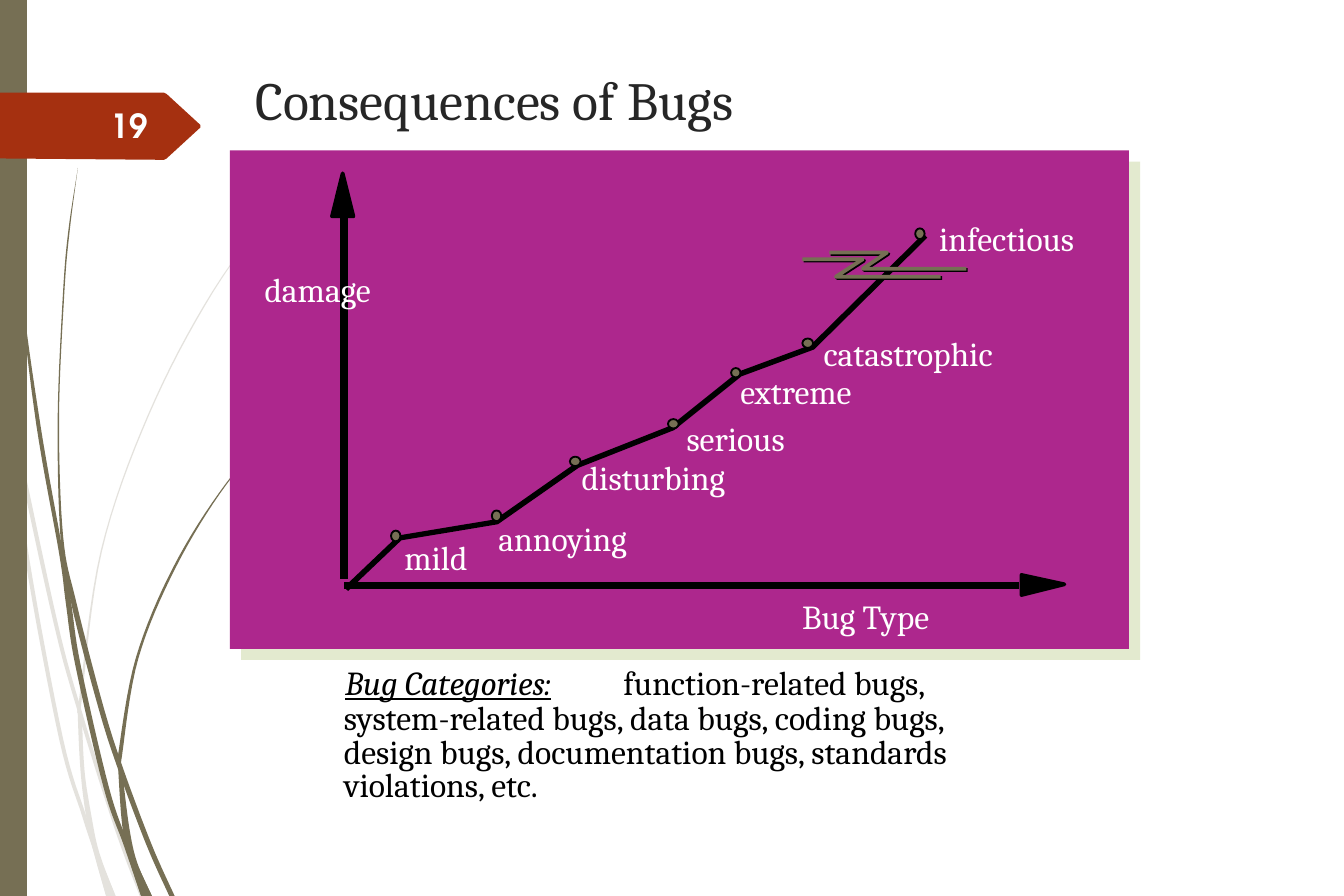
from lxml import etree
from pptx import Presentation
from pptx.dml.color import RGBColor
from pptx.enum.shapes import MSO_CONNECTOR, MSO_SHAPE
from pptx.enum.text import MSO_ANCHOR, PP_ALIGN
from pptx.oxml.ns import qn
from pptx.util import Inches, Pt

COLORS = {"olive": "766F54", "pale": "E4E2DD", "red": "A53010", "purple": "AD278D",
          "shadow": "E3EACF", "black": "000000", "white": "FFFFFF",
          "title": "262626", "number": "FEFFFF"}

# Left edge, height and width along each blade of grass
BLADES = [
    ("pale", [(0, 2.5, 0.01), (0.1, 3.34, 0.02), (0.19, 4.17, 0.03), (0.44, 5.5, 0.03),
              (0.61, 6.07, 0.03), (0.7, 6.35, 0.03), (0.79, 6.67, 0.07)]),
    ("pale", [(0.1, 3.07, 0), (0.12, 3.34, 0.03), (0.4, 4.64, 0.03), (0.58, 5.3, 0.03),
              (0.85, 6.16, 0.03), (1.04, 6.67, 0.04)]),
    ("pale", [(2.17, 1.36, 0), (1.58, 2.17, 0.01), (1.1, 3.09, 0.01), (0.75, 4.1, 0.01),
              (0.59, 5.2, 0.02), (0.58, 5.33, 0.03), (0.6, 5.74, 0.03),
              (0.64, 6.07, 0.04), (0.7, 6.35, 0.04), (0.79, 6.67, 0.07)]),
    ("olive", [(0.02, 0, 0.01), (0.05, 0.98, 0.01), (0.14, 2.07, 0.01), (0.27, 3.16, 0.03),
               (0.44, 4.12, 0.03), (0.49, 4.49, 0.04), (0.56, 4.95, 0.04),
               (0.77, 5.86, 0.04), (0.92, 6.29, 0.04), (1.05, 6.67, 0.08)]),
    ("olive", [(0.58, 1.25, 0), (0.51, 1.71, 0.01), (0.47, 2.17, 0.01), (0.43, 3.1, 0.01),
               (0.45, 3.99, 0.02), (0.53, 4.49, 0.04), (0.73, 5.26, 0.04),
               (0.88, 5.73, 0.04), (1.09, 6.29, 0.04), (1.26, 6.67, 0.04)]),
    ("olive", [(2.15, 3.06, 0.01), (1.68, 3.6, 0.01), (1.29, 4.22, 0.02), (1.01, 4.9, 0.02),
               (0.88, 5.61, 0.03), (0.88, 5.73, 0.03), (0.91, 6.15, 0.05),
               (0.97, 6.42, 0.05), (1.05, 6.67, 0.08)]),
]
NUMBER_TAG = [(0, 0.69), (1.22, 0.69), (1.24, 0.7), (1.49, 0.93), (1.49, 0.95),
              (1.24, 1.18), (1.22, 1.19), (0, 1.18)]
CURVE = [(2.57, 4.38), (2.97, 4), (3.69, 3.88), (4.29, 3.46), (5, 3.18),
         (5.5, 2.78), (6.04, 2.58), (6.88, 1.75)]
AXES = [
    ((2.56, 4.31), (2.56, 1.62), [(2.55, 1.29), (2.63, 1.61), (2.47, 1.61)]),
    ((2.56, 4.36), (7.58, 4.36), [(7.92, 4.35), (7.6, 4.43), (7.6, 4.28)]),
]
LABELS = [
    ("damage", 1.87, 1.95, 1.04), ("mild", 2.91, 3.95, 0.69),
    ("annoying", 3.61, 3.81, 1.2), ("disturbing", 4.23, 3.35, 1.32),
    ("serious", 5.01, 3.06, 0.99), ("extreme", 5.41, 2.71, 1.09),
    ("catastrophic", 6.03, 2.43, 1.53), ("infectious", 6.89, 1.57, 1.26),
    ("Bug Type", 5.87, 4.39, 1.21),
]
DOTS = [(2.91, 3.95, 0.07, 0.08), (3.66, 3.8, 0.07, 0.08), (4.24, 3.4, 0.08, 0.07),
        (4.97, 3.12, 0.08, 0.07), (5.44, 2.74, 0.07, 0.07), (5.97, 2.52, 0.08, 0.07),
        (6.81, 1.7, 0.07, 0.08)]
BOLTS = [[(6.17, 1.88), (6.6, 1.88), (6.42, 2), (7.19, 2)],
         [(5.97, 1.93), (6.42, 1.93), (6.22, 2.06), (7, 2.06)]]
CATEGORIES = [
    ("function-related bugs,", 4.54, 4.88, 2.45),
    ("system-related bugs, data bugs, coding bugs,", 2.46, 5.14, 5.02),
    ("design bugs, documentation bugs, standards", 2.46, 5.39, 5.02),
    ("violations, etc.", 2.46, 5.64, 1.74),
]

deck = Presentation()
deck.slide_width, deck.slide_height = Inches(10), Inches(6.67)
page = deck.slides.add_slide(deck.slide_layouts[6])


def color(name):
    return RGBColor.from_string(COLORS[name])


def style(shape, fill=None, line=None, width=1):
    shape.shadow.inherit = False
    if fill:
        shape.fill.solid()
        shape.fill.fore_color.rgb = color(fill)
    else:
        shape.fill.background()
    if line:
        shape.line.color.rgb = color(line)
        shape.line.width = Pt(width)
    else:
        shape.line.fill.background()
    return shape


def add_preset(kind, bounds, **look):
    return style(page.shapes.add_shape(kind, *map(Inches, bounds)), **look)


def add_path(points, closed=True, shift=0, **look):
    corners = [(Inches(x + shift), Inches(y + shift)) for x, y in points]
    builder = page.shapes.build_freeform(*corners[0], scale=1.0)
    builder.add_line_segments(corners[1:], close=closed)
    return style(builder.convert_to_shape(), **look)


def add_text(text, left, top, width, height=0.4, size=18, ink="white",
             font="Cambria", wrap=False):
    box = page.shapes.add_textbox(*map(Inches, (left, top, width, height)))
    box.text_frame.word_wrap = wrap
    paragraph = box.text_frame.paragraphs[0]
    paragraph.text = text
    paragraph.font.name, paragraph.font.size = font, Pt(size)
    paragraph.font.color.rgb = color(ink)
    return box.text_frame, paragraph


def smooth(knots, steps=8):
    ends = [knots[0], *knots, knots[-1]]
    result = []
    for a, b, c, d in zip(ends, ends[1:], ends[2:], ends[3:]):
        for step in range(steps):
            t = step / steps
            result.append([q + t * (r - p) / 2 + t * t * (p - 2.5 * q + 2 * r - s / 2)
                           + t ** 3 * (1.5 * (q - r) + (s - p) / 2)
                           for p, q, r, s in zip(a, b, c, d)])
    return result + [knots[-1]]


for tint, knots in BLADES:
    blade = smooth(knots)
    left_edge = [(x, y) for x, y, _ in blade]
    right_edge = [(x + width, y) for x, y, width in blade]
    add_path(left_edge + right_edge[::-1], fill=tint)

add_preset(MSO_SHAPE.RECTANGLE, (0, 0, 0.2, 6.67), fill="olive")
add_path(NUMBER_TAG, fill="red")
add_text("Consequences of Bugs", 1.8, 0.45, 5.68, 0.56, 28.8, "title", wrap=True)
frame, number = add_text("19", 0.56, 0.77, 0.64, 0.36, 17.8, "number",
                         "TeX Gyre Adventor", True)
frame.vertical_anchor = MSO_ANCHOR.MIDDLE
number.alignment, number.line_spacing = PP_ALIGN.RIGHT, 0.9
number.font.bold = True

panel = add_preset(MSO_SHAPE.RECTANGLE, (1.71, 1.12, 6.69, 3.71), fill="purple")
effects = panel._element.spPr.find(qn("a:effectLst"))
shadow = etree.SubElement(effects, qn("a:outerShdw"), dist=str(Pt(8.5)),
                          dir="2700000", algn="ctr", rotWithShape="0")
etree.SubElement(shadow, qn("a:srgbClr"), val=COLORS["shadow"])

for shift in (0.01, 0):
    add_path(CURVE, closed=False, shift=shift, line="black", width=2)
for start, end, head in AXES:
    add_path(head, fill="black", line="black", width=2)
    axis = page.shapes.add_connector(MSO_CONNECTOR.STRAIGHT, *map(Inches, start + end))
    axis.line.color.rgb, axis.line.width = color("black"), Pt(4)
    etree.SubElement(axis._element.spPr, qn("a:effectLst"))
for label in LABELS:
    add_text(*label)
for dot in DOTS:
    add_preset(MSO_SHAPE.OVAL, dot, fill="olive", line="black")
for bolt in BOLTS:
    for shift, ink in ((0.01, "black"), (0, "olive")):
        add_path(bolt, closed=False, shift=shift, line=ink, width=2)

_, heading = add_text("Bug Categories:", 2.47, 4.88, 1.85, ink="black")
heading.font.italic = heading.font.underline = True
for category in CATEGORIES:
    add_text(*category, ink="black")

deck.save("out.pptx")
